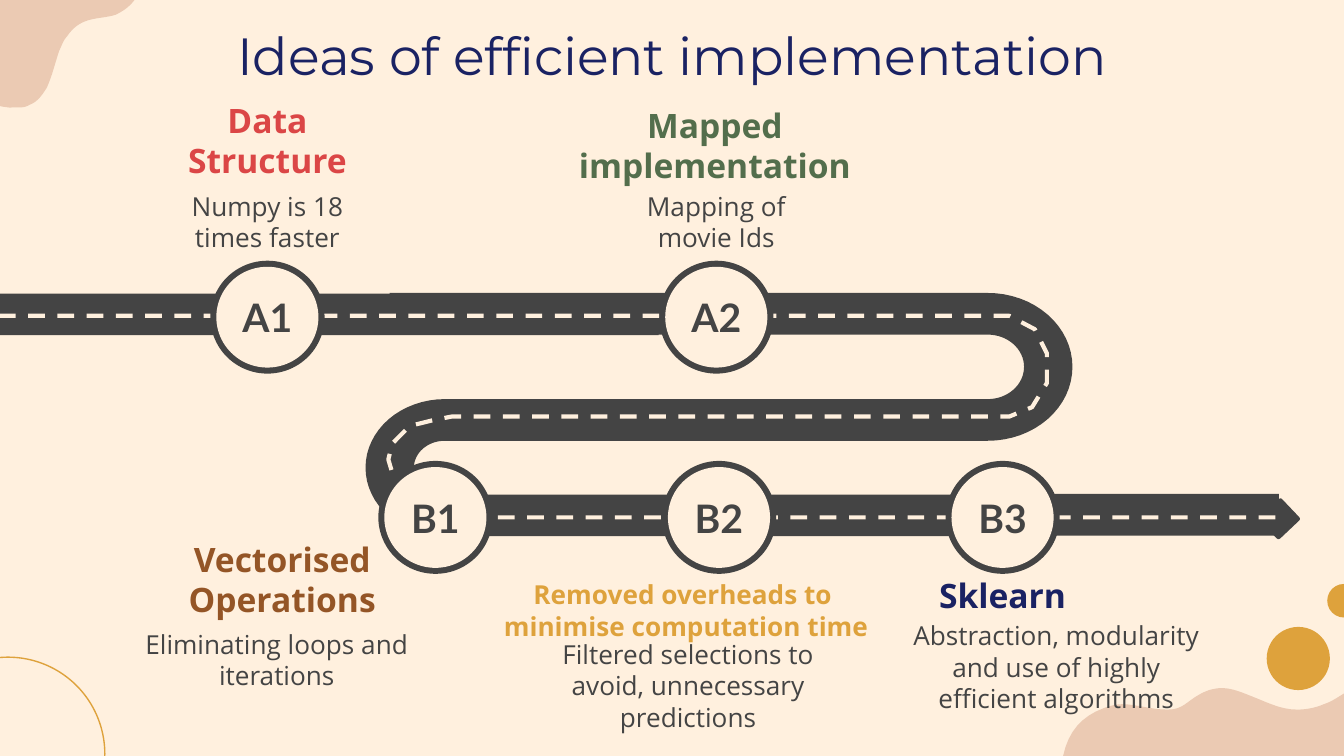
from dataclasses import dataclass
from math import cos, radians, sin

from pptx import Presentation
from pptx.dml.color import RGBColor
from pptx.enum.dml import MSO_LINE
from pptx.enum.shapes import MSO_SHAPE
from pptx.enum.text import MSO_ANCHOR, PP_ALIGN
from pptx.util import Inches, Pt

OVAL, RECT, ROUNDED = MSO_SHAPE.OVAL, MSO_SHAPE.RECTANGLE, MSO_SHAPE.ROUNDED_RECTANGLE
MIDDLE, CENTER, DASH = MSO_ANCHOR.MIDDLE, PP_ALIGN.CENTER, MSO_LINE.DASH


@dataclass(frozen=True)
class Theme:
    cream: str = "FFF0DE"
    blush: str = "EBCAB3"
    gold: str = "DEA23C"
    asphalt: str = "444444"
    navy: str = "1A2263"
    red: str = "DB4646"
    green: str = "536E4C"
    brown: str = "945526"
    title_font: str = "Montserrat"
    text_font: str = "Open Sans"
    stop_font: str = "Lato"
    title_size: int = 28
    stop_size: int = 21
    heading_size: int = 18
    body_size: int = 14


T = Theme()
SLIDE_W = 10
SLIDE_H = SLIDE_W * 9 / 16

# Content
TITLE = "Ideas of efficient implementation"
ROW_A, ROW_B, B_START, B_STEP = 2.36, 3.85, 3.24, 2.11
STOPS = [("A1", 1.99, ROW_A), ("A2", 5.33, ROW_A)]
STOPS += [(f"B{i + 1}", B_START + i * B_STEP, ROW_B) for i in range(3)]

# Each caption: paragraphs, size, colour, centre x, centre y, width
HEADINGS = [
    (["Data Structure"], T.heading_size, T.red, 1.99, 1.04, 1.34),
    (["Mapped implementation"], T.heading_size, T.green, 5.32, 1.08, 2.35),
    (["Vectorised Operations"], T.heading_size, T.brown, 2.1, 4.31, 2.35),
    (["Removed overheads to", " minimise computation time"],
     T.body_size, T.gold, 5.08, 4.54, 3.42),
    (["Sklearn"], T.heading_size, T.navy, 7.46, 4.43, 1.34),
]
BODIES = [
    (["Numpy is 18 times faster"], 1.99, 1.65, 1.54),
    (["Mapping of movie Ids"], 5.33, 1.65, 1.54),
    (["Eliminating loops and iterations"], 2.06, 4.91, 2.18),
    (["Filtered selections to avoid, unnecessary predictions"], 5.12, 5.1, 2.41),
    (["Abstraction, modularity", "and use of highly efficient algorithms"],
     7.86, 4.96, 2.35),
]

# Blobs: start point, then curves as (control, control, end)
CORNER_BLOB = [(0.86, 0.11), [
    (0.8, 0.13, 0.73, 0.13, 0.66, 0.15), (0.59, 0.17, 0.54, 0.21, 0.5, 0.27),
    (0.47, 0.3, 0.46, 0.34, 0.44, 0.38), (0.41, 0.47, 0.39, 0.56, 0.35, 0.65),
    (0.32, 0.7, 0.28, 0.76, 0.22, 0.78), (0.19, 0.8, 0.16, 0.8, 0.12, 0.8),
    (-0.02, 0.81, -0.16, 0.74, -0.22, 0.63), (-0.26, 0.55, -0.27, 0.46, -0.28, 0.38),
    (-0.28, 0.31, -0.28, 0.23, -0.25, 0.16), (-0.23, 0.11, -0.19, 0.07, -0.16, 0.02),
    (-0.11, -0.03, -0.07, -0.09, 0, -0.13), (0.06, -0.16, 0.13, -0.18, 0.21, -0.19),
    (0.37, -0.21, 0.53, -0.2, 0.7, -0.17), (0.76, -0.16, 0.81, -0.15, 0.88, -0.15),
    (0.9, -0.15, 0.93, -0.15, 0.96, -0.16), (0.98, -0.17, 1.01, -0.19, 1.04, -0.18),
    (1.08, -0.18, 1.05, -0.11, 1.04, -0.08), (1.02, 0, 0.95, 0.07, 0.86, 0.11)]]
WAVE_BLOB = [(SLIDE_W, 5.16), [
    (9.95, 5.19, 9.91, 5.22, 9.85, 5.24), (9.78, 5.27, 9.71, 5.28, 9.65, 5.28),
    (9.52, 5.28, 9.42, 5.22, 9.26, 5.16), (9.21, 5.14, 9.15, 5.12, 9.09, 5.12),
    (9.03, 5.12, 8.97, 5.14, 8.92, 5.17), (8.83, 5.22, 8.8, 5.28, 8.69, 5.28),
    (8.56, 5.28, 8.46, 5.24, 8.35, 5.24), (8.31, 5.24, 8.26, 5.25, 8.21, 5.27),
    (8.05, 5.33, 7.95, 5.44, 7.91, SLIDE_H)]]
LANE = [(9.49, 3.85), (3.26, 3.85), (3.06, 3.74), (2.95, 3.62), (2.89, 3.42),
        (2.92, 3.3), (3.05, 3.17), (3.21, 3.13), (3.36, 3.1), (7.51, 3.1),
        (7.68, 3.03), (7.79, 2.85), (7.79, 2.63), (7.7, 2.45), (7.51, 2.35),
        (0.55, 2.35), (-0.07, 2.35)]


def rgb(colour):
    return RGBColor.from_string(colour)


def curve_points(start, curves, steps=8):
    points = [start]
    for x1, y1, x2, y2, x3, y3 in curves:
        x0, y0 = points[-1]
        for t in (i / steps for i in range(1, steps + 1)):
            u = 1 - t
            weights = u**3, 3 * u * u * t, 3 * u * t * t, t**3
            points.append((sum(w * x for w, x in zip(weights, (x0, x1, x2, x3))),
                           sum(w * y for w, y in zip(weights, (y0, y1, y2, y3)))))
    return points


def arc(cx, cy, rx, ry, start, end, steps=32):
    angles = [radians(start + (end - start) * i / steps) for i in range(steps + 1)]
    return [(cx + rx * cos(a), cy + ry * sin(a)) for a in angles]


def paint(shape, fill=None, line=None, width=0.75):
    shape.shadow.inherit = False
    if fill:
        shape.fill.solid()
        shape.fill.fore_color.rgb = rgb(fill)
    else:
        shape.fill.background()
    if line:
        shape.line.color.rgb = rgb(line)
        shape.line.width = Pt(width)
    else:
        shape.line.fill.background()
    return shape


def outline(points, closed=True, **style):
    first, *rest = [(Inches(x), Inches(y)) for x, y in points]
    builder = slide.shapes.build_freeform(*first)
    builder.add_line_segments(rest, close=closed)
    return paint(builder.convert_to_shape(), **style)


def preset(kind, cx, cy, w, h, **style):
    box = map(Inches, (cx - w / 2, cy - h / 2, w, h))
    return paint(slide.shapes.add_shape(kind, *box), **style)


def write(frame, paragraphs, font, size, colour, bold=False, insets=(0.04, 0.02)):
    frame.word_wrap, frame.vertical_anchor = True, MIDDLE
    frame.margin_left = frame.margin_right = Inches(insets[0])
    frame.margin_top = frame.margin_bottom = Inches(insets[1])
    for i, words in enumerate(paragraphs):
        paragraph = frame.add_paragraph() if i else frame.paragraphs[0]
        paragraph.alignment = CENTER
        run = paragraph.add_run()
        run.text = words
        run.font.name, run.font.size, run.font.bold = font, Pt(size), bold
        run.font.color.rgb = rgb(colour)


def caption(paragraphs, size, colour, cx, cy, w, h, bold=False):
    box = slide.shapes.add_textbox(*map(Inches, (cx - w / 2, cy - h / 2, w, h)))
    write(box.text_frame, paragraphs, T.text_font, size, colour, bold)


prs = Presentation()
prs.slide_width, prs.slide_height = Inches(SLIDE_W), Inches(SLIDE_H)
slide = prs.slides.add_slide(prs.slide_layouts[5])
slide.background.fill.solid()
slide.background.fill.fore_color.rgb = rgb(T.cream)

# Corner decoration
outline(curve_points(*WAVE_BLOB) + [(SLIDE_W, SLIDE_H)], fill=T.blush)
outline(curve_points(*CORNER_BLOB), fill=T.blush)
preset(OVAL, 9.66, 4.9, 0.47, 0.47, fill=T.gold)
preset(OVAL, 0.06, 5.61, 1.44, 1.44, line=T.gold)
preset(OVAL, SLIDE_W, 4.47, 0.25, 0.25, fill=T.gold)

# Road: straight ends, arrow tip, double bend and lane marking
preset(RECT, 2.44, 2.34, 4.92, 0.31, fill=T.asphalt)
tip = preset(ROUNDED, 9.52, 3.86, 0.22, 0.23, fill=T.asphalt)
tip.rotation, tip.adjustments[0] = 226.6, 0.08
preset(RECT, 8.56, 3.83, 1.91, 0.31, fill=T.asphalt)
RIGHT_BEND, LEFT_BEND = (7.35, 2.73), (3.31, 3.48)
outline([(2.9, 2.18)] + arc(*RIGHT_BEND, 0.63, 0.55, -90, 90)
        + arc(*LEFT_BEND, 0.23, 0.2, 270, 90) + [(7.8, 3.68), (7.8, 3.99)]
        + arc(*LEFT_BEND, 0.59, 0.51, 90, 270)
        + arc(*RIGHT_BEND, 0.27, 0.24, 90, -90) + [(2.9, 2.49)], fill=T.asphalt)
lane = outline(LANE, closed=False, line=T.cream, width=2.25)
lane.line.dash_style = DASH

# Title
title = slide.shapes.title
title.left, title.top, title.width, title.height = map(Inches, (0.78, 0.09, 8.44, 0.63))
write(title.text_frame, [TITLE], T.title_font, T.title_size, T.navy, insets=(0.1, 0.1))

# Stops along the road
for label, cx, cy in STOPS:
    preset(OVAL, cx, cy, 0.85, 0.84, fill=T.asphalt)
    disc = preset(OVAL, cx, cy, 0.76, 0.75, fill=T.cream)
    write(disc.text_frame, [label], T.stop_font, T.stop_size, T.asphalt, bold=True)

# Captions
for heading in HEADINGS:
    caption(*heading, h=0.24, bold=True)
for words, cx, cy, w in BODIES:
    caption(words, T.body_size, T.asphalt, cx, cy, w, h=0.34)

prs.save("out.pptx")
